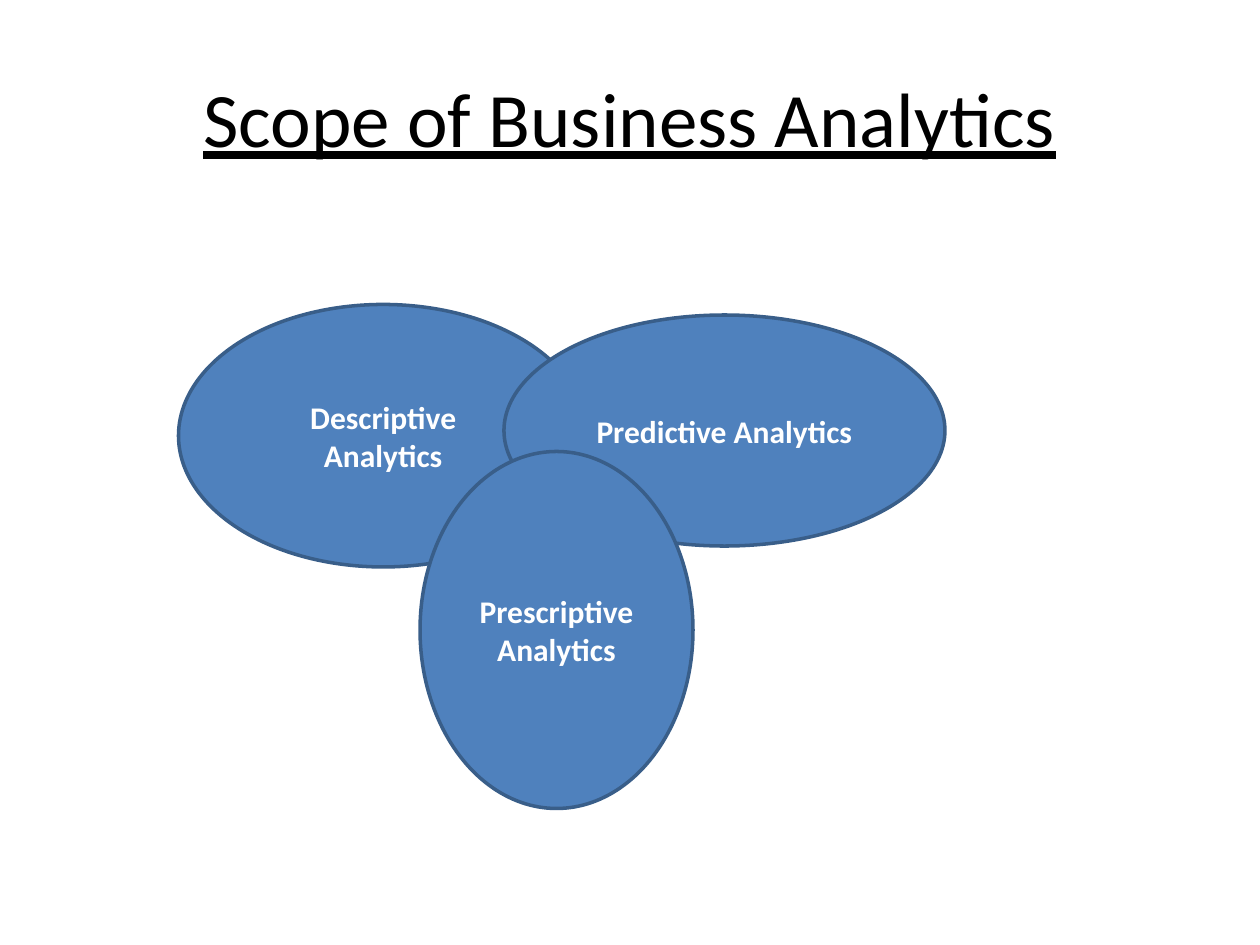
from dataclasses import dataclass

from pptx import Presentation
from pptx.dml.color import RGBColor
from pptx.enum.shapes import MSO_SHAPE
from pptx.enum.text import MSO_ANCHOR, PP_ALIGN
from pptx.util import Pt


@dataclass(frozen=True)
class Theme:
    font: str = "Calibri"
    title_size: float = 44
    label_size: float = 18
    outline_width: float = 2
    title_color: RGBColor = RGBColor.from_string("000000")
    label_color: RGBColor = RGBColor.from_string("FFFFFF")
    fill_color: RGBColor = RGBColor.from_string("4F81BD")
    outline_color: RGBColor = RGBColor.from_string("395E89")


class SlideBuilder:
    def __init__(self, slide, theme):
        self.slide = slide
        self.theme = theme

    def set_text(self, shape, text, color, font_format):
        frame = shape.text_frame
        frame.word_wrap = True
        frame.vertical_anchor = MSO_ANCHOR.MIDDLE
        paragraph = frame.paragraphs[0]
        paragraph.alignment = PP_ALIGN.CENTER
        run = paragraph.add_run()
        run.text = text
        run.font.color.rgb = color
        for name, value in {"name": self.theme.font, **font_format}.items():
            setattr(run.font, name, value)

    def title(self, text, bounds):
        shape = self.slide.shapes.add_textbox(*map(Pt, bounds))
        font_format = {"size": Pt(self.theme.title_size), "underline": True}
        self.set_text(shape, text, self.theme.title_color, font_format)

    def ellipse(self, text, bounds):
        shape = self.slide.shapes.add_shape(MSO_SHAPE.OVAL, *map(Pt, bounds))
        shape.shadow.inherit = False
        shape.fill.solid()
        shape.fill.fore_color.rgb = self.theme.fill_color
        shape.line.color.rgb = self.theme.outline_color
        shape.line.width = Pt(self.theme.outline_width)
        font_format = {"size": Pt(self.theme.label_size), "bold": True}
        self.set_text(shape, text, self.theme.label_color, font_format)


def main():
    presentation = Presentation()
    presentation.slide_width = Pt(720)
    presentation.slide_height = Pt(540)
    slide = presentation.slides.add_slide(presentation.slide_layouts[6])
    builder = SlideBuilder(slide, Theme())

    builder.title("Scope of Business Analytics", (36, 21.6, 648, 90))
    analytics_types = {
        "Descriptive Analytics": (102, 174, 234, 150),
        "Predictive Analytics": (288, 180, 252, 132),
        "Prescriptive Analytics": (240, 258, 156, 204),
    }
    for label, bounds in analytics_types.items():
        builder.ellipse(label, bounds)

    presentation.save("out.pptx")


if __name__ == "__main__":
    main()
